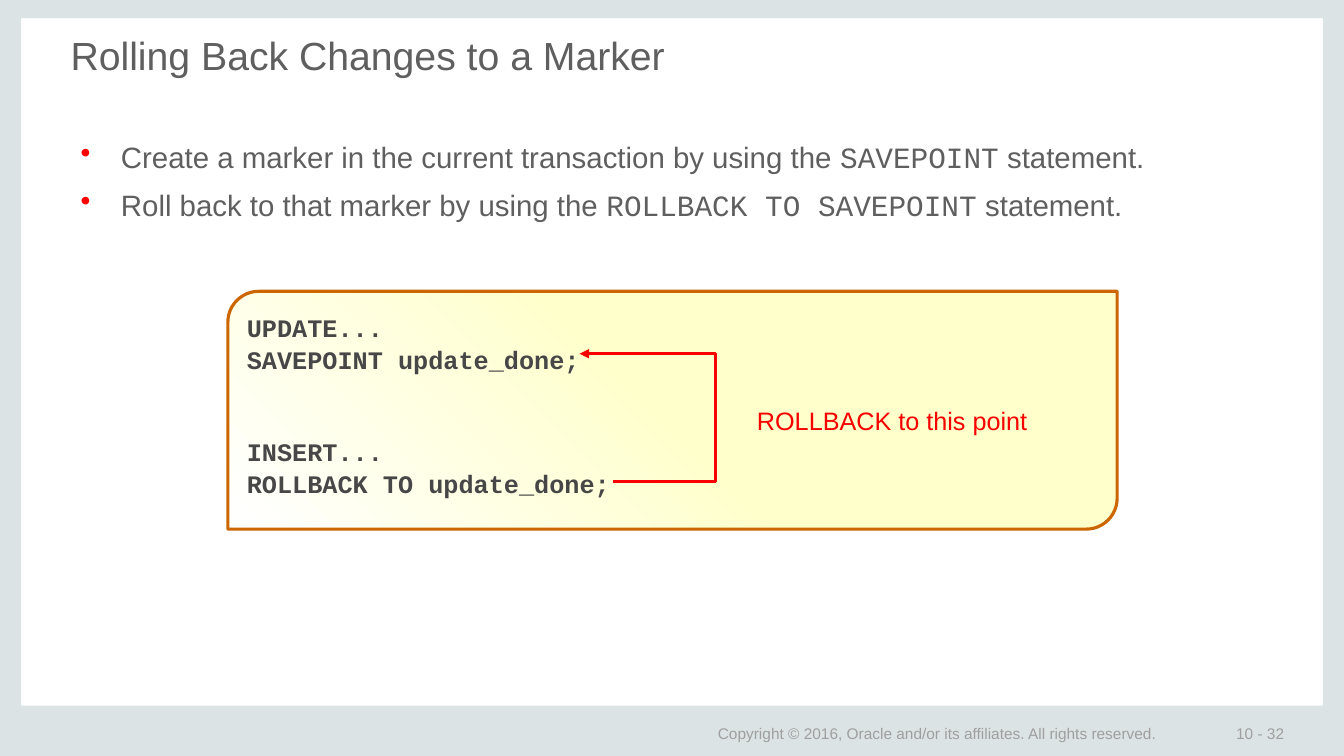
from lxml import etree
from pptx import Presentation
from pptx.dml.color import RGBColor
from pptx.enum.shapes import MSO_CONNECTOR as Connector, MSO_SHAPE as Shape
from pptx.enum.text import MSO_ANCHOR as Anchor
from pptx.oxml.ns import qn
from pptx.util import Inches, Pt

WIDTH, HEIGHT = 13.33, 7.5
GREY, RED, FOOTER_GREY = "5F5F5F", "F80000", "9F9F9F"
BULLETS = [
    [("Create a marker in the current transaction by using the ", "Arial"),
     ("SAVEPOINT", "Courier New"), (" statement.", "Arial")],
    [("Roll back to that marker by using the ", "Arial"),
     ("ROLLBACK TO SAVEPOINT", "Courier New"), (" statement.", "Arial")],
]
CODE_BLOCKS = [
    ["UPDATE...", "SAVEPOINT update_done;"],
    ["INSERT...", "ROLLBACK TO update_done;"],
]


def color(hex_code):
    return RGBColor.from_string(hex_code)


def inches(*lengths):
    return [Inches(length) for length in lengths]


def set_font(paragraph, size, hex_code, name="Arial", bold=False):
    font = paragraph.font
    font.size, font.name, font.bold = Pt(size), name, bold
    font.color.rgb = color(hex_code)


def set_margins(frame, left, top, right, bottom):
    frame.margin_left, frame.margin_top, frame.margin_right, frame.margin_bottom = \
        inches(left, top, right, bottom)


def add_text_frame(slide, box, margins=(0.1, 0.05, 0.1, 0.05), wrap=True):
    frame = slide.shapes.add_textbox(*inches(*box)).text_frame
    frame.word_wrap = wrap
    set_margins(frame, *margins)
    return frame


def add_label(slide, box, text, size, hex_code, **layout):
    frame = add_text_frame(slide, box, **layout)
    frame.text = text
    set_font(frame.paragraphs[0], size, hex_code)
    return frame


def add_page_frame(slide, side, bottom):
    bands = [
        (WIDTH - side, 0, side, HEIGHT),
        (0, 0, side, HEIGHT),
        (0, HEIGHT - bottom, WIDTH, bottom),
        (0, 0, WIDTH, side - 0.03),
    ]
    for box in bands:
        band = slide.shapes.add_shape(Shape.RECTANGLE, *inches(*box))
        band.shadow.inherit = False
        band.fill.solid()
        band.fill.fore_color.rgb = color("DCE3E4")
        band.line.fill.background()


def add_footer(slide, top):
    for left, width, text in [
        (12.13, 1.18, "10 - 32"),
        (6.99, 5.34, "Copyright © 2016, Oracle and/or its affiliates. All rights reserved."),
    ]:
        frame = add_label(slide, (left, top, width, 0.21), text, 11, FOOTER_GREY,
                          margins=(0.13, 0.07, 0.13, 0.07), wrap=False)
        frame.vertical_anchor = Anchor.MIDDLE


def add_bullet(paragraph):
    properties = paragraph._p.get_or_add_pPr()
    properties.set("marL", str(Inches(0.5)))
    properties.set("indent", str(Inches(-0.4)))
    bullet_color = etree.SubElement(properties, qn("a:buClr"))
    etree.SubElement(bullet_color, qn("a:srgbClr"), val="FF0000")
    etree.SubElement(properties, qn("a:buChar"), char="•")


def add_bullets(slide, box):
    frame = add_text_frame(slide, box, (0.02, 0.02, 0.02, 0.02))
    for index, pieces in enumerate(BULLETS):
        paragraph = frame.add_paragraph() if index else frame.paragraphs[0]
        add_bullet(paragraph)
        if index:
            paragraph.space_before = Pt(9)
        set_font(paragraph, 21, GREY)
        for text, font_name in pieces:
            run = paragraph.add_run()
            run.text = text
            run.font.name = font_name


def add_code(frame):
    for block_index, lines in enumerate(CODE_BLOCKS):
        for line_index, line in enumerate(lines):
            first = block_index == line_index == 0
            paragraph = frame.paragraphs[0] if first else frame.add_paragraph()
            paragraph.text = line
            paragraph.line_spacing = 1.06
            if block_index and not line_index:
                paragraph.space_before = Pt(43)
            set_font(paragraph, 18, "474747", "Courier New", bold=True)


def add_rollback_arrow(slide, start, end, reach):
    """Draw an elbow that swings out to the right by reach, then back to end."""
    arrow = slide.shapes.add_connector(Connector.ELBOW, *inches(*start, *end))
    arrow.line.color.rgb = color(RED)
    arrow.line.width = Pt(2.25)
    properties = arrow._element.spPr
    guides = properties.find(qn("a:prstGeom")).get_or_add_avLst()
    bend = round(100000 * reach / (end[0] - start[0]))
    etree.SubElement(guides, qn("a:gd"), name="adj1", fmla=f"val {bend}")
    etree.SubElement(properties.find(qn("a:ln")), qn("a:tailEnd"), type="triangle")
    etree.SubElement(properties, qn("a:effectLst"))


def add_code_panel(slide, box):
    left, top = box[:2]
    panel = slide.shapes.add_shape(Shape.ROUND_2_DIAG_RECTANGLE, *inches(*box))
    panel.adjustments[0], panel.adjustments[1] = 0.13, 0
    panel.shadow.inherit = False
    panel.fill.gradient()
    panel.fill.gradient_angle = 225
    for stop, position, hex_code in zip(panel.fill.gradient_stops, (0.5, 1), ("FFFFCC", "FFFFFF")):
        stop.position = position
        stop.color.rgb = color(hex_code)
    panel.line.color.rgb = color("CC6600")
    panel.line.width = Pt(2.25)

    frame = panel.text_frame
    frame.word_wrap = True
    frame.vertical_anchor = Anchor.TOP
    set_margins(frame, 0.1, 0.1, 0.01, 0)
    add_code(frame)
    for paragraph in frame.paragraphs:
        paragraph.alignment = 1

    add_label(slide, (left + 5.15, top + 1.08, 3, 0.4), "ROLLBACK to this point", 18, RED)
    add_rollback_arrow(slide, (left + 3.82, top + 1.89), (left + 3.49, top + 0.62), 1.02)


def main():
    presentation = Presentation()
    presentation.slide_width, presentation.slide_height = inches(WIDTH, HEIGHT)
    slide = presentation.slides.add_slide(presentation.slide_layouts[6])
    add_page_frame(slide, side=0.21, bottom=0.5)
    add_footer(slide, top=7.17)
    add_label(slide, (0.68, 0.29, 11.97, 0.96), "Rolling Back Changes to a Marker",
              28, GREY, margins=(0.02, 0.02, 0.02, 0.02))
    add_bullets(slide, (0.68, 1.36, 11.97, 0.87))
    add_code_panel(slide, (2.26, 2.89, 8.82, 2.36))
    presentation.save("out.pptx")


if __name__ == "__main__":
    main()
